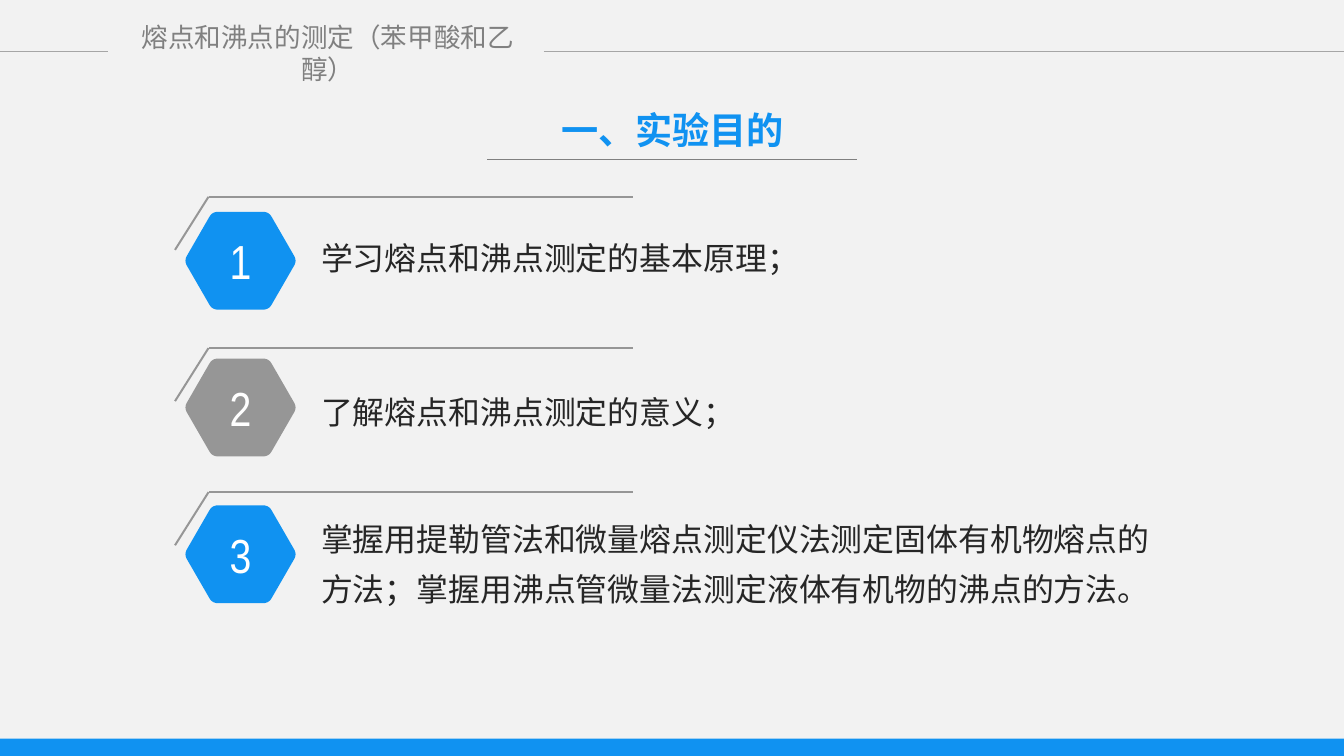
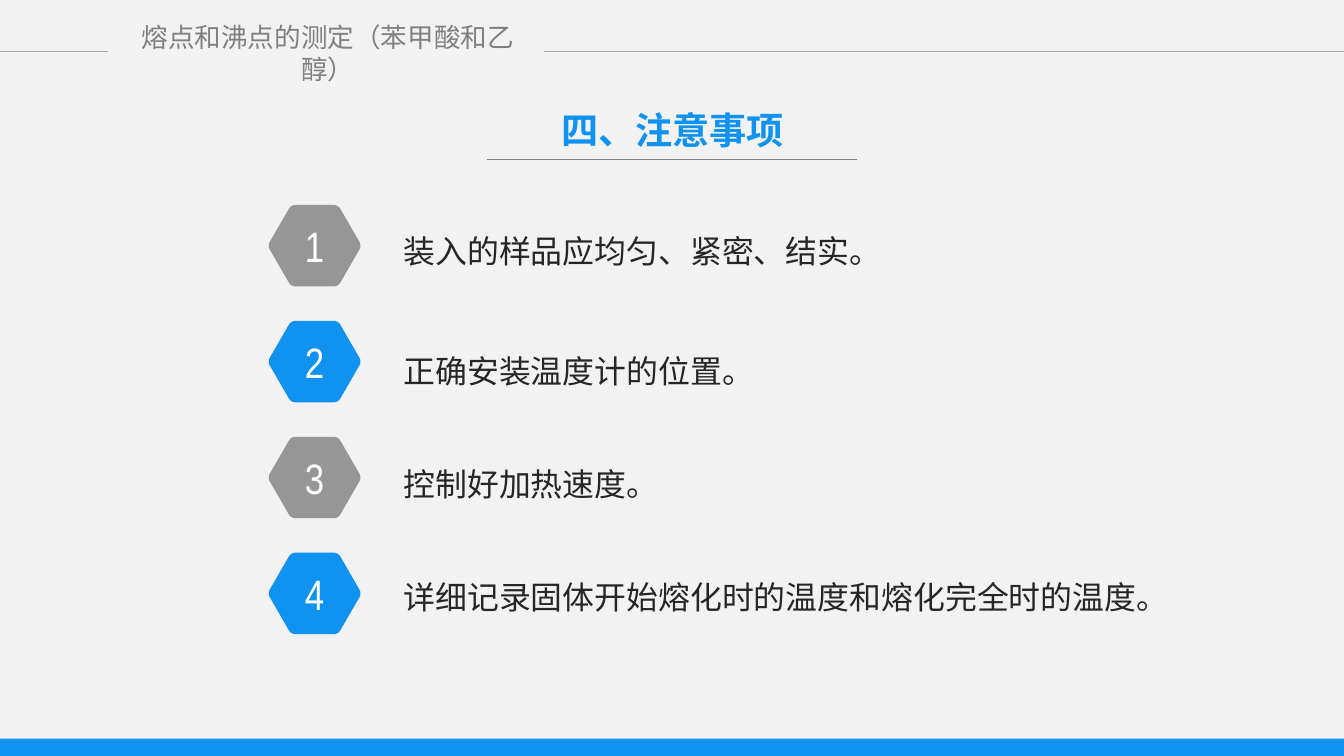
from math import cos, pi, sin

from lxml import etree
from pptx import Presentation
from pptx.dml.color import RGBColor
from pptx.enum.shapes import MSO_CONNECTOR, MSO_SHAPE
from pptx.enum.text import MSO_ANCHOR, MSO_AUTO_SIZE, PP_ALIGN
from pptx.oxml.ns import qn
from pptx.util import Cm, Pt

LINE, RECT = MSO_CONNECTOR.STRAIGHT, MSO_SHAPE.RECTANGLE
TOP, MID = MSO_ANCHOR.TOP, MSO_ANCHOR.MIDDLE
NONE, GROW = MSO_AUTO_SIZE.NONE, MSO_AUTO_SIZE.SHAPE_TO_FIT_TEXT
CENTER, LEFT = PP_ALIGN.CENTER, PP_ALIGN.LEFT

WIDE, HIGH = 35.71, 20.09
BLUE, GRAY, WHITE, INK = "1092F1", "969696", "FFFFFF", "262626"
PAPER, MUTED, PALE = "F2F2F2", "808080", "A6A6A6"
SERIF, SANS, NARROW = "Times New Roman", "Arial", "Arial Narrow"

HEADER = "熔点和沸点的测定（苯甲酸和乙醇）"
RULES = [
    (0, 1.37, 2.87, 1.37, PALE),
    (14.45, 1.37, WIDE, 1.37, PALE),
    (12.95, 4.24, 22.76, 4.24, MUTED),
]
SLIDES = [
    {
        "title": "一、实验目的",
        "x": 6.39, "y": 6.93, "step": 3.9, "radius": 1.5, "size": 36,
        "left": 8.53, "width": 22.1,
        "items": [
            (BLUE, 6.05, "学习熔点和沸点测定的基本原理；"),
            (GRAY, 10.13, "了解熔点和沸点测定的意义；"),
            (BLUE, 13.51, "掌握用提勒管法和微量熔点测定仪法测定固体有机物熔点的方法；"
                          "掌握用沸点管微量法测定液体有机物的沸点的方法。"),
        ],
        "hooks": [5.23, 9.25, 13.08],
    },
    {
        "title": "四、注意事项",
        "x": 8.36, "y": 6.53, "step": 3.08, "radius": 1.25, "size": 32,
        "left": 10.72, "width": 20.35,
        "items": [
            (GRAY, 5.84, "装入的样品应均匀、紧密、结实。"),
            (BLUE, 9.04, "正确安装温度计的位置。"),
            (GRAY, 12.04, "控制好加热速度。"),
            (BLUE, 15.04, "详细记录固体开始熔化时的温度和熔化完全时的温度。"),
        ],
        "hooks": [],
    },
]


def color(code):
    return RGBColor.from_string(code)


def paint(shape, code):
    shape.shadow.inherit = False
    shape.fill.solid()
    shape.fill.fore_color.rgb = color(code)
    shape.line.fill.background()


def frame(shape, anchor, fit):
    box = shape.text_frame
    box.word_wrap = True
    box.auto_size = fit
    box.vertical_anchor = anchor
    box.margin_left = box.margin_top = box.margin_right = box.margin_bottom = 0


def write(shape, text, font, size, code, align, bold=False):
    shape.text_frame.text = text
    para = shape.text_frame.paragraphs[0]
    para.alignment = align
    para.font.name = font
    para.font.size = Pt(size)
    para.font.bold = bold
    para.font.color.rgb = color(code)
    return para


def stroke(slide, x1, y1, x2, y2, code, width):
    line = slide.shapes.add_connector(LINE, Cm(x1), Cm(y1), Cm(x2), Cm(y2))
    line.line.color.rgb = color(code)
    line.line.width = Pt(width)
    etree.SubElement(line._element.spPr, qn("a:effectLst"))


def outline(x, y, radius, trim=0.1, steps=6):
    tips = [(x + radius * cos(k * pi / 3), y + radius * sin(k * pi / 3))
            for k in range(6)]
    dots = []
    for k, tip in enumerate(tips):
        start, end = [
            [a + trim * (b - a) for a, b in zip(tip, side)]
            for side in (tips[k - 1], tips[(k + 1) % 6])
        ]
        for n in range(steps + 1):
            t = n / steps
            dots.append(tuple(
                Cm((1 - t) ** 2 * a + 2 * t * (1 - t) * b + t ** 2 * c)
                for a, b, c in zip(start, tip, end)))
    return dots


def badge(slide, number, x, y, radius, size, code):
    dots = outline(x, y, radius)
    path = slide.shapes.build_freeform(*dots[0], scale=1.0)
    path.add_line_segments(dots[1:], close=True)
    hexagon = path.convert_to_shape()
    paint(hexagon, code)
    frame(hexagon, MID, NONE)
    write(hexagon, str(number), NARROW, size, WHITE, CENTER)


def dress(layout, slide):
    for spot in list(layout.placeholders):
        if spot.placeholder_format.idx:
            spot._element.getparent().remove(spot._element)
    title = layout.placeholders[0]
    title.left, title.top = Cm(14.07), Cm(2.84)
    title.width, title.height = Cm(7.59), Cm(1.19)
    frame(title, TOP, NONE)

    band = slide.shapes.add_shape(RECT, 0, Cm(19.63), Cm(WIDE), Cm(HIGH - 19.63))
    paint(band, BLUE)
    head = slide.shapes.add_textbox(Cm(3.25), Cm(0.97), Cm(10.92), Cm(0.86))
    frame(head, MID, GROW)
    write(head, HEADER, SANS, 20, MUTED, CENTER)
    for rule in RULES:
        stroke(slide, *rule, 1)
    for key, shape in enumerate(list(slide.shapes)[1:], 20):
        shape._element.xpath(".//p:cNvPr")[0].set("id", str(key))
        layout.shapes._spTree.append(shape._element)


def fill(slide, page):
    write(slide.shapes.title, page["title"], SERIF, 28, BLUE, CENTER, True)
    for k, (code, top, text) in enumerate(page["items"]):
        y = page["y"] + k * page["step"]
        badge(slide, k + 1, page["x"], y, page["radius"], page["size"], code)
        note = slide.shapes.add_textbox(
            Cm(page["left"]), Cm(top), Cm(page["width"]), Cm(1.19))
        frame(note, TOP, GROW)
        write(note, text, SERIF, 24, INK, LEFT).line_spacing = 1.3
    for y in page["hooks"]:
        stroke(slide, 4.65, y + 1.41, 5.54, y, GRAY, 1.5)
        stroke(slide, 5.54, y, 16.81, y, GRAY, 1.5)


def main():
    deck = Presentation()
    deck.slide_width, deck.slide_height = Cm(WIDE), Cm(HIGH)
    back = deck.slide_master.background.fill
    back.solid()
    back.fore_color.rgb = color(PAPER)
    layout = deck.slide_layouts[5]
    slides = [deck.slides.add_slide(layout) for page in SLIDES]
    dress(layout, slides[0])
    for slide, page in zip(slides, SLIDES):
        fill(slide, page)
    deck.save("out.pptx")


if __name__ == "__main__":
    main()
